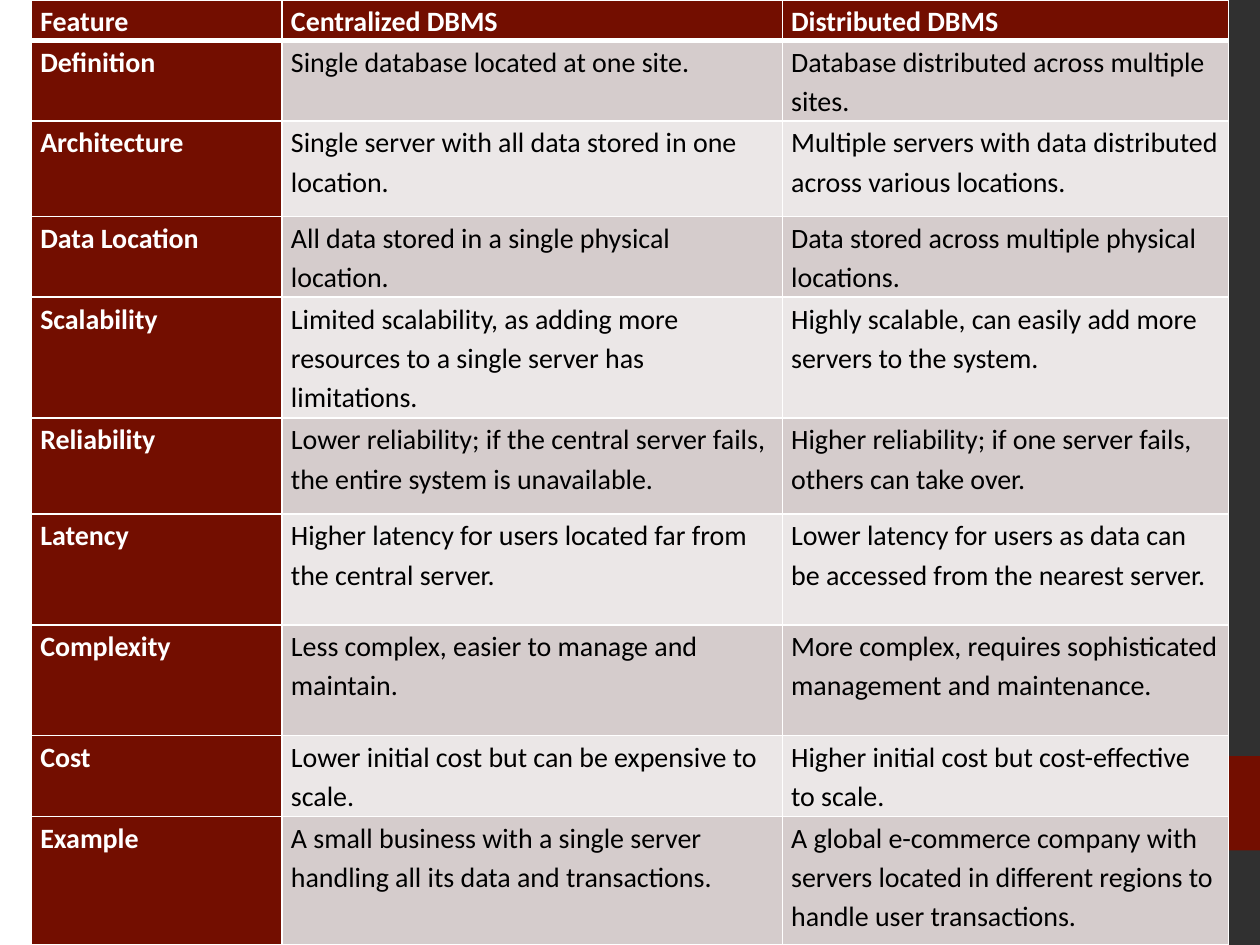
import pptx
import pptx.util
import pptx.dml.color
import pptx.enum.shapes
import pptx.oxml.ns
from lxml import etree

Pt = pptx.util.Pt
RGBColor = pptx.dml.color.RGBColor
qn = pptx.oxml.ns.qn

WHITE = RGBColor(0xFF, 0xFF, 0xFF)
BLACK = RGBColor(0, 0, 0)
GREY = RGBColor(0xDA, 0xDA, 0xDA)
CHARCOAL = RGBColor(0x30, 0x30, 0x30)
MAROON = RGBColor(0x73, 0x0E, 0x00)
BAND_DARK = RGBColor(0xD5, 0xCC, 0xCC)
BAND_LIGHT = RGBColor(0xEB, 0xE7, 0xE7)

COL_WIDTHS = [143.28, 285.84, 254.88]
ROWS = [
    (23.04, "Feature", "Centralized DBMS", "Distributed DBMS"),
    (46.08, "Definition", "Single database located at one site.",
     "Database distributed across multiple sites."),
    (54.72, "Architecture", "Single server with all data stored in one location.",
     "Multiple servers with data distributed across various locations."),
    (46.08, "Data Location", "All data stored in a single physical location.",
     "Data stored across multiple physical locations."),
    (69.12, "Scalability",
     "Limited scalability, as adding more resources to a single server has limitations.",
     "Highly scalable, can easily add more servers to the system."),
    (54.72, "Reliability",
     "Lower reliability; if the central server fails, the entire system is unavailable.",
     "Higher reliability; if one server fails, others can take over."),
    (63.36, "Latency", "Higher latency for users located far from the central server.",
     "Lower latency for users as data can be accessed from the nearest server."),
    (63.36, "Complexity", "Less complex, easier to manage and maintain.",
     "More complex, requires sophisticated management and maintenance."),
    (46.08, "Cost", "Lower initial cost but can be expensive to scale.",
     "Higher initial cost but cost-effective to scale."),
    (73.44, "Example",
     "A small business with a single server handling all its data and transactions.",
     "A global e-commerce company with servers located in different regions "
     "to handle user transactions."),
]


def add_border(cell, side, width):
    ln = etree.SubElement(cell._tc.get_or_add_tcPr(), qn("a:ln" + side), w=str(Pt(width)))
    fill = etree.SubElement(ln, qn("a:solidFill"))
    etree.SubElement(fill, qn("a:srgbClr"), val=str(WHITE))


prs = pptx.Presentation()
prs.slide_width, prs.slide_height = Pt(720), Pt(540)
s = prs.slides.add_slide(prs.slide_layouts[6])

# Background: white, fading to grey along a circular path
fill = s.background.fill
fill.gradient()
for stop, position, color in zip(fill.gradient_stops, (0.75, 1), (WHITE, GREY)):
    stop.position = position
    stop.color.rgb = color
grad = s._element.find(".//" + qn("a:gradFill"))
grad.remove(grad.find(qn("a:lin")))
circle = etree.SubElement(grad, qn("a:path"), path="circle")
etree.SubElement(circle, qn("a:fillToRect"), l="20000", t="50000", r="100000", b="50000")

# Side strip with its accent square
for top, height, color in ((0, 540, CHARCOAL), (432, 54, MAROON)):
    sp = s.shapes.add_shape(pptx.enum.shapes.MSO_SHAPE.RECTANGLE,
                            Pt(666), Pt(top), Pt(54), Pt(height))
    sp.shadow.inherit = False
    sp.fill.solid()
    sp.fill.fore_color.rgb = color
    sp.line.fill.background()

# Comparison table
table = s.shapes.add_table(len(ROWS), len(COL_WIDTHS),
                           Pt(18), Pt(0), Pt(684), Pt(540)).table
for column, width in zip(table.columns, COL_WIDTHS):
    column.width = Pt(width)

for i, (height, *texts) in enumerate(ROWS):
    table.rows[i].height = Pt(height)
    for j, text in enumerate(texts):
        cell = table.cell(i, j)
        heading = i == 0 or j == 0
        cell.margin_left = cell.margin_right = Pt(5.04)
        cell.margin_top = cell.margin_bottom = 0

        # The rule under the header row is heavier
        add_border(cell, "L", 1)
        add_border(cell, "R", 1)
        add_border(cell, "T", 3 if i == 1 else 1)
        add_border(cell, "B", 3 if i == 0 else 1)
        cell.fill.solid()
        cell.fill.fore_color.rgb = MAROON if heading else BAND_DARK if i % 2 else BAND_LIGHT

        cell.text = text
        p = cell.text_frame.paragraphs[0]
        p.line_spacing = 1.15
        p.font.name = "Calibri"
        p.font.size = Pt(16)
        p.font.bold = heading
        p.font.color.rgb = WHITE if heading else BLACK

prs.save("out.pptx")
